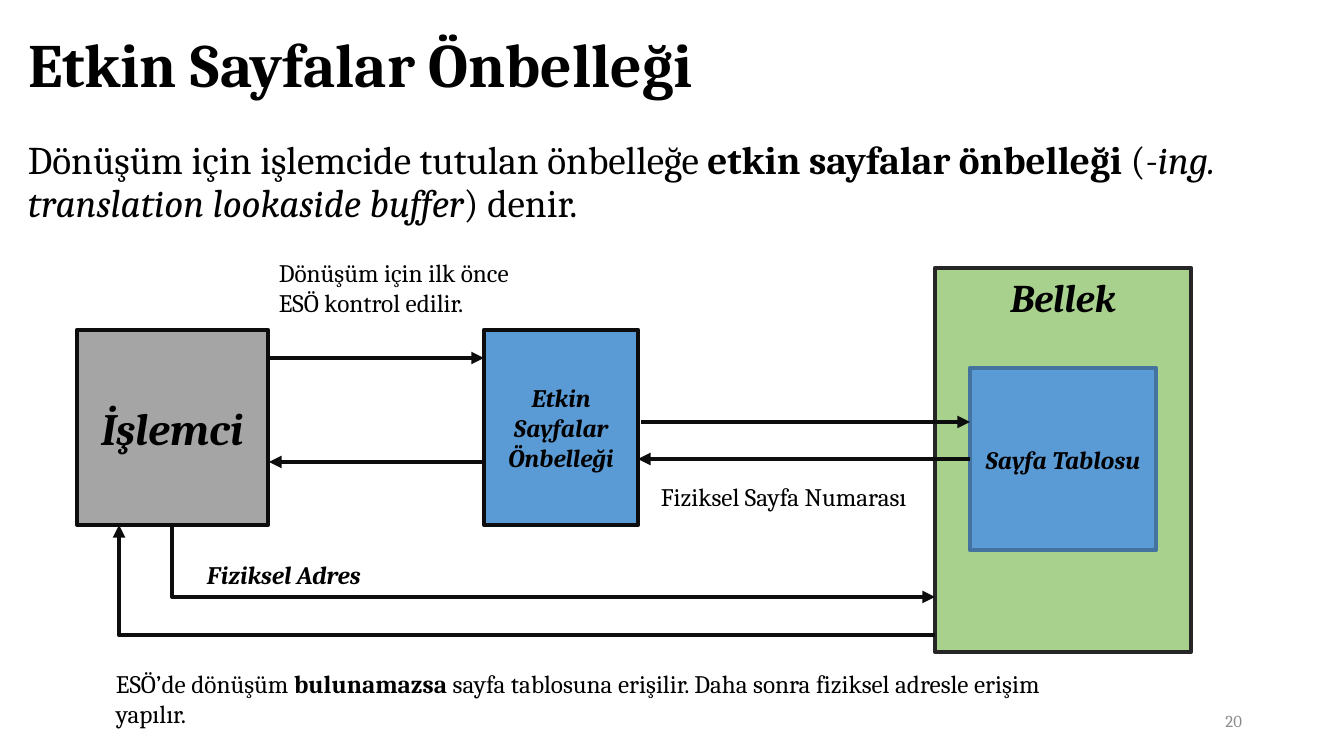
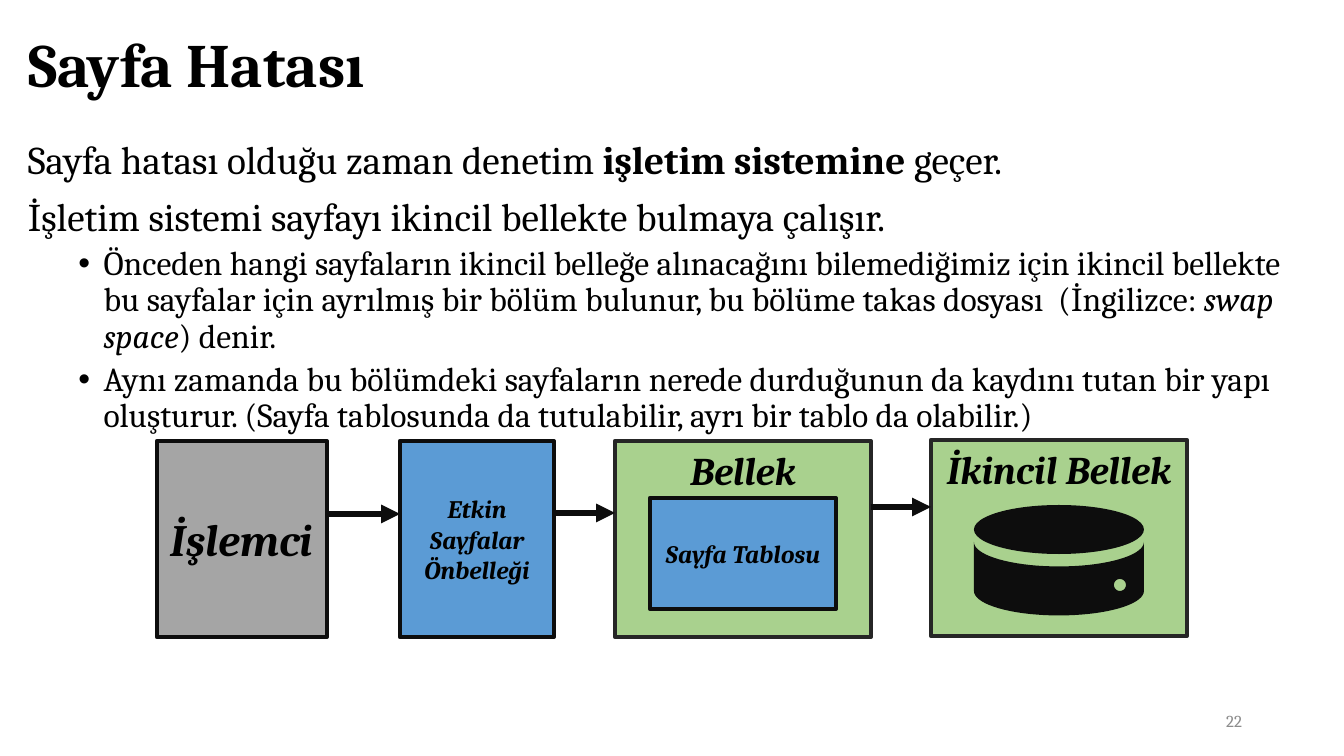
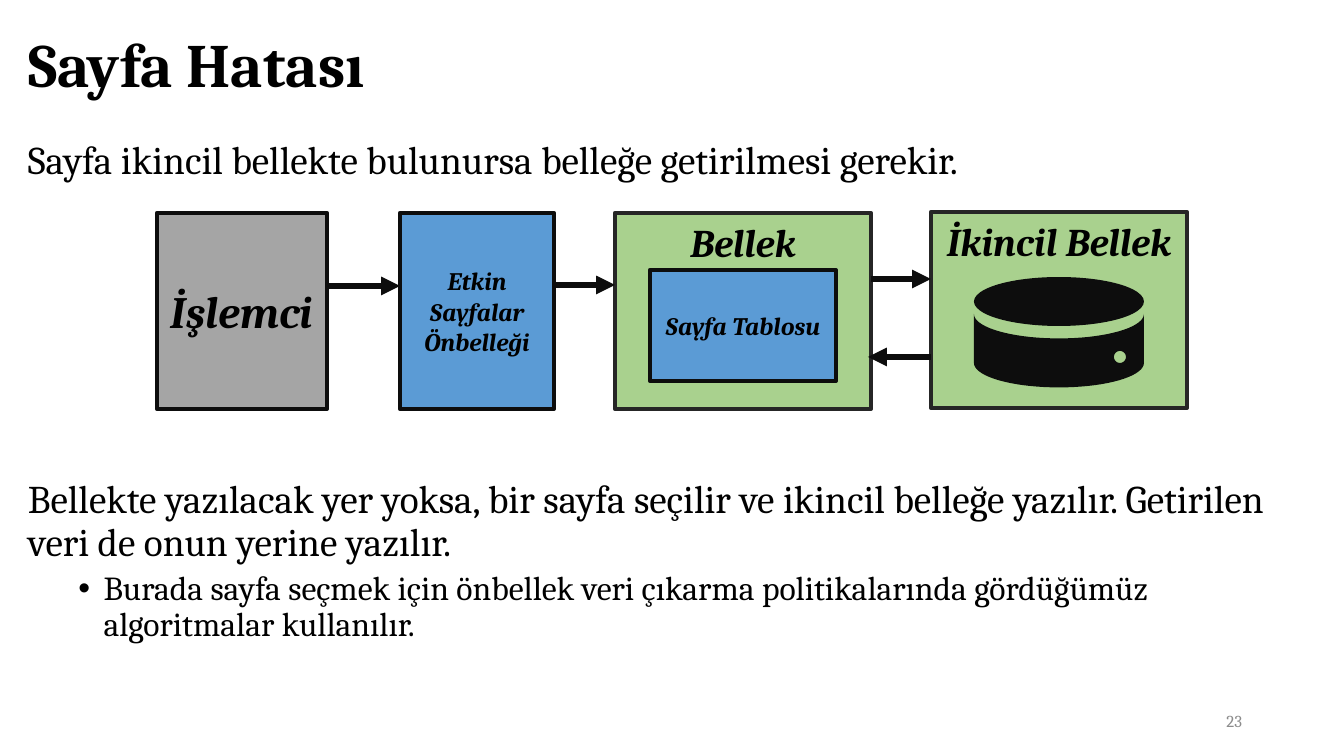
import math

from lxml import etree
from pptx import Presentation
from pptx import util as u
from pptx.dml.color import RGBColor
from pptx.enum import shapes, text
from pptx.oxml.ns import qn

# Shared style: 100.8 pixels to the inch
SCALE = 914400 / 100.8
FONT = "Cambria"
COLORS = {
    "text": "000000", "number": "8C8C8C", "ink": "0D0D0D", "frame": "262626",
    "cpu": "A5A5A5", "memory": "A9D18E", "cache": "5B9BD5", "table_edge": "43739E",
}
LEFT, MIDDLE, TOP = text.PP_ALIGN.LEFT, text.MSO_ANCHOR.MIDDLE, text.MSO_ANCHOR.TOP
CENTER, RIGHT = text.PP_ALIGN.CENTER, text.PP_ALIGN.RIGHT


def px(value):
    return u.Emu(round(value * SCALE))


def rgb(name):
    return RGBColor.from_string(COLORS[name])


def write(p, runs, size=18, color="text", style="", align=LEFT, spacing=None, before=0):
    """Fill a paragraph; runs is a string or (text, style) pairs, style holds b and i."""
    p.alignment = align
    p.space_before = u.Pt(before)
    if spacing:
        p.line_spacing = spacing
    for content, run_style in [(runs, style)] if isinstance(runs, str) else runs:
        r = p.add_run()
        r.text = content
        r.font.name = FONT
        r.font.size = u.Pt(size)
        r.font.bold = "b" in run_style
        r.font.italic = "i" in run_style
        r.font.color.rgb = rgb(color)


def arc(cx, cy, rx, ry, start, stop, steps=36):
    """Points along an ellipse, angles in degrees."""
    angles = [math.radians(start + (stop - start) * n / steps) for n in range(steps + 1)]
    return [(px(cx + rx * math.cos(a)), px(cy + ry * math.sin(a))) for a in angles]


class Deck:
    def __init__(self):
        self.prs = Presentation()
        self.prs.slide_width, self.prs.slide_height = px(1344), px(756)
        self.s = None

    def slide(self, title, number):
        self.s = self.prs.slides.add_slide(self.prs.slide_layouts[5])
        sp = self.s.shapes.title
        sp.left, sp.top, sp.width, sp.height = px(18), px(15), px(1296), px(105)
        tf = sp.text_frame
        tf.auto_size = text.MSO_AUTO_SIZE.NONE
        tf.vertical_anchor = MIDDLE
        write(tf.paragraphs[0], title, size=44, style="b", spacing=0.9)
        self.label(949, 701, 303, 40, str(number), anchor=MIDDLE, size=12,
                   color="number", align=RIGHT)

    def frame(self, x, y, w, h, anchor=TOP):
        tf = self.s.shapes.add_textbox(px(x), px(y), px(w), px(h)).text_frame
        tf.word_wrap = True
        tf.vertical_anchor = anchor
        return tf

    def label(self, x, y, w, h, runs, anchor=TOP, **fmt):
        write(self.frame(x, y, w, h, anchor).paragraphs[0], runs, **fmt)

    def body(self, y, h, main, bullets=()):
        tf = self.frame(18, y, 1296, h)
        for n, runs in enumerate([*main, *bullets]):
            p = tf.add_paragraph() if n else tf.paragraphs[0]
            if n < len(main):
                write(p, runs, size=28, spacing=0.9, before=10)
                continue
            write(p, runs, size=24, spacing=0.9, before=5)
            p.level = 1
            pPr = p._p.get_or_add_pPr()
            pPr.set("marL", str(u.Inches(0.75)))
            pPr.set("indent", str(u.Inches(-0.25)))
            etree.SubElement(pPr, qn("a:buFont")).set("typeface", "Arial")
            etree.SubElement(pPr, qn("a:buChar")).set("char", "•")

    def box(self, x, y, w, h, name, fill, line="ink", size=18, anchor=MIDDLE):
        sp = self.s.shapes.add_shape(shapes.MSO_SHAPE.RECTANGLE, px(x), px(y), px(w), px(h))
        self.paint(sp, fill)
        sp.line.color.rgb = rgb(line)
        sp.line.width = u.Pt(3)
        sp.text_frame.word_wrap = True
        sp.text_frame.vertical_anchor = anchor
        write(sp.text_frame.paragraphs[0], name, size=size, style="bi", align=CENTER)

    def memory(self, x, y, h, name):
        self.box(x, y, 256, h, name, "memory", "frame", 28, TOP)

    def paint(self, sp, fill):
        sp.shadow.inherit = False
        sp.fill.solid()
        sp.fill.fore_color.rgb = rgb(fill)
        sp.line.fill.background()

    def arrow(self, x1, y1, x2, y2, width=3, kind=shapes.MSO_CONNECTOR.STRAIGHT, end="tailEnd"):
        c = self.s.shapes.add_connector(kind, px(x1), px(y1), px(x2), px(y2))
        c.line.color.rgb = rgb("ink")
        c.line.width = u.Pt(width)
        etree.SubElement(c.line._get_or_add_ln(), qn("a:" + end)).set("type", "triangle")
        etree.SubElement(c._element.spPr, qn("a:effectLst"))
        return c

    def elbow(self, left, top, right, bottom, end):
        """Runs left along the bottom, then up the left side."""
        c = self.arrow(left, top, right, bottom, kind=shapes.MSO_CONNECTOR.ELBOW, end=end)
        spPr = c._element.spPr
        spPr.find(qn("a:xfrm")).set("rot", "10800000")
        geom = spPr.find(qn("a:prstGeom"))
        guides = geom.find(qn("a:avLst"))
        if guides is None:
            guides = etree.SubElement(geom, qn("a:avLst"))
        gd = etree.SubElement(guides, qn("a:gd"))
        gd.set("name", "adj1")
        gd.set("fmla", "val 100000")

    def disk(self, cx, y):
        rx, ry = 85, 24.5
        lid = self.s.shapes.add_shape(shapes.MSO_SHAPE.OVAL, px(cx - rx), px(y),
                                      px(2 * rx), px(2 * ry))
        self.paint(lid, "ink")
        side = (arc(cx, y + 37, rx, ry, 0, 180) + arc(cx, y + 86, rx, ry, 180, 0))
        light = arc(cx + 61, y + 80, 6, 6, 360, 0)
        fb = self.s.shapes.build_freeform(*side[0], scale=1.0)
        fb.add_line_segments(side[1:], close=True)
        fb.move_to(*light[0])
        fb.add_line_segments(light[1:], close=True)
        self.paint(fb.convert_to_shape(), "ink")

    def chain(self, y):
        """Processor, cache, memory and secondary memory in a row."""
        h = 196
        self.box(157, y, 170, h, "İşlemci", "cpu", size=32)
        self.memory(615, y, h, "Bellek")
        self.box(650, y + 57, 186, 111, "Sayfa Tablosu", "cache")
        self.box(400, y, 154, h, "Etkin Sayfalar Önbelleği", "cache")
        self.memory(931, y - 1, h, "İkincil Bellek")
        self.disk(1059, y + 64)
        for x1, x2, dy in ((327, 400, 73), (555, 615, 72), (871, 931, 66)):
            self.arrow(x1, y + dy, x2, y + dy, width=4.5)


deck = Deck()

# Slide 1: translation lookaside buffer
deck.slide("Etkin Sayfalar Önbelleği", 20)
deck.body(136, 544, [[
    ("Dönüşüm için işlemcide tutulan önbelleğe ", ""), ("etkin sayfalar önbelleği", "b"),
    (" (", ""), ("-ing. translation lookaside buffer", "i"), (") denir. ", "")]])
deck.box(77, 330, 191, 195, "İşlemci", "cpu", size=32)
deck.memory(935, 268, 384, "Bellek")
deck.box(970, 368, 186, 182, "Sayfa Tablosu", "cache", "table_edge")
deck.box(484, 330, 154, 195, "Etkin Sayfalar Önbelleği", "cache")
deck.arrow(270, 358, 484, 358)
deck.arrow(486, 462, 269, 462)
deck.arrow(641, 422, 970, 422)
deck.arrow(970, 459, 638, 459)
deck.elbow(172, 525, 935, 597, end="headEnd")
deck.elbow(119, 525, 935, 635, end="tailEnd")
deck.label(269, 252, 279, 72, "Dönüşüm için ilk önce ESÖ kontrol edilir. ")
deck.label(651, 476, 271, 72, "Fiziksel Sayfa Numarası")
deck.label(197, 554, 394, 40, "Fiziksel Adres", style="bi")
deck.label(106, 663, 977, 72, [
    ("ESÖ’de dönüşüm ", ""), ("bulunamazsa", "b"),
    (" sayfa tablosuna erişilir. Daha sonra fiziksel adresle erişim yapılır.", "")])

# Slide 2: page fault
deck.slide("Sayfa Hatası", 22)
deck.body(136, 544, [
    [("Sayfa hatası olduğu zaman denetim ", ""), ("işletim sistemine ", "b"), ("geçer.", "")],
    "İşletim sistemi sayfayı ikincil bellekte bulmaya çalışır. ",
], [
    [("Önceden hangi sayfaların ikincil belleğe alınacağını bilemediğimiz için ikincil "
      "bellekte bu sayfalar için ayrılmış bir bölüm bulunur, bu bölüme takas "
      "dosyası\u00a0 (İngilizce:\u00a0", ""), ("swap space", "i"), (") denir.\u00a0", "")],
    "Aynı zamanda bu bölümdeki sayfaların nerede durduğunun da kaydını tutan bir yapı "
    "oluşturur. (Sayfa tablosunda da tutulabilir, ayrı bir tablo da olabilir.)",
])
deck.chain(441)

# Slide 3: fetching the page
deck.slide("Sayfa Hatası", 23)
deck.body(136, 60, ["Sayfa ikincil bellekte bulunursa belleğe getirilmesi gerekir."])
deck.body(475, 205, [
    "Bellekte yazılacak yer yoksa, bir sayfa seçilir ve ikincil belleğe yazılır. "
    "Getirilen veri de onun yerine yazılır. ",
], [
    "Burada sayfa seçmek için önbellek veri çıkarma politikalarında gördüğümüz "
    "algoritmalar kullanılır. ",
])
deck.chain(213)
deck.arrow(931, 357, 868, 357, width=4.5)

deck.prs.save("out.pptx")
